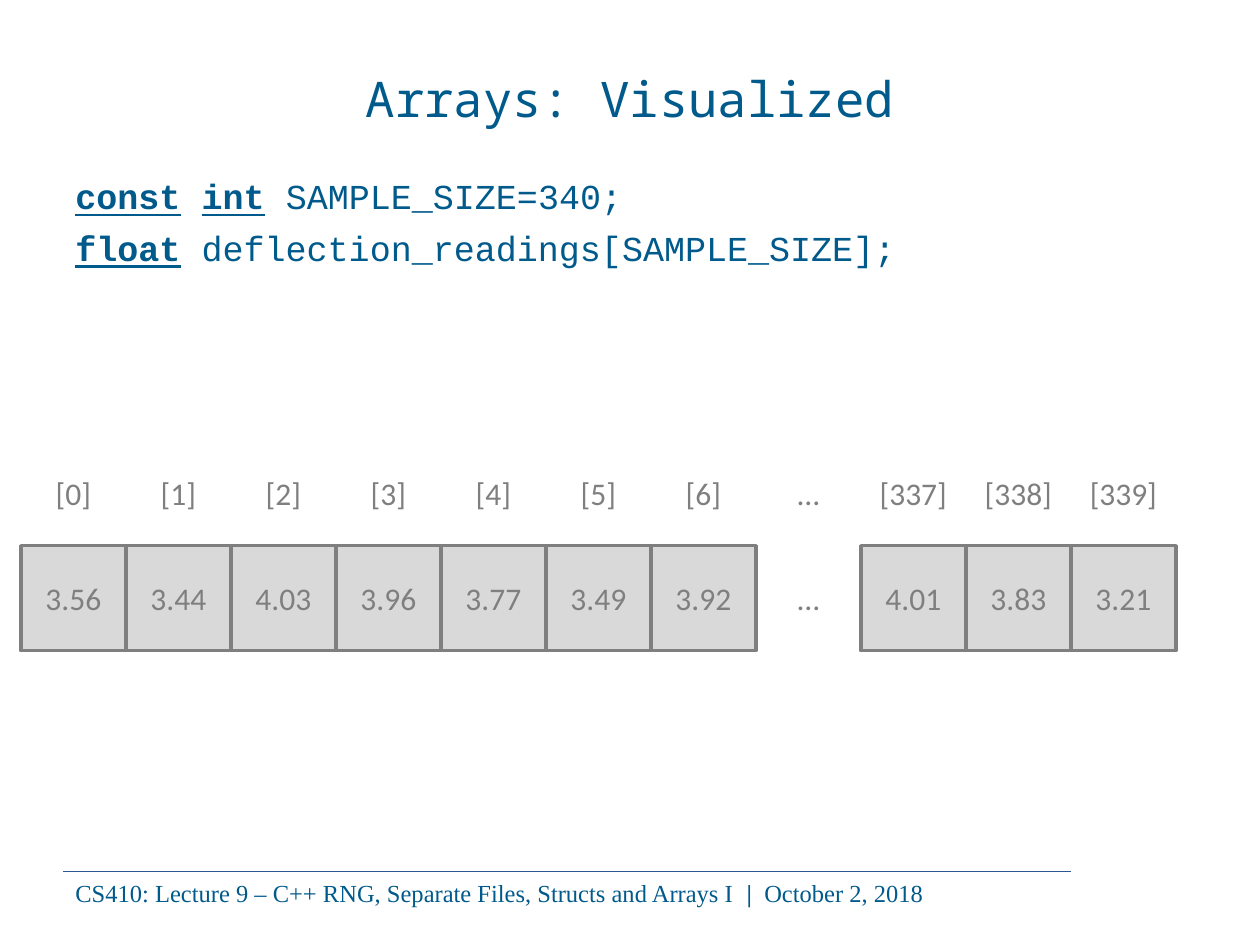
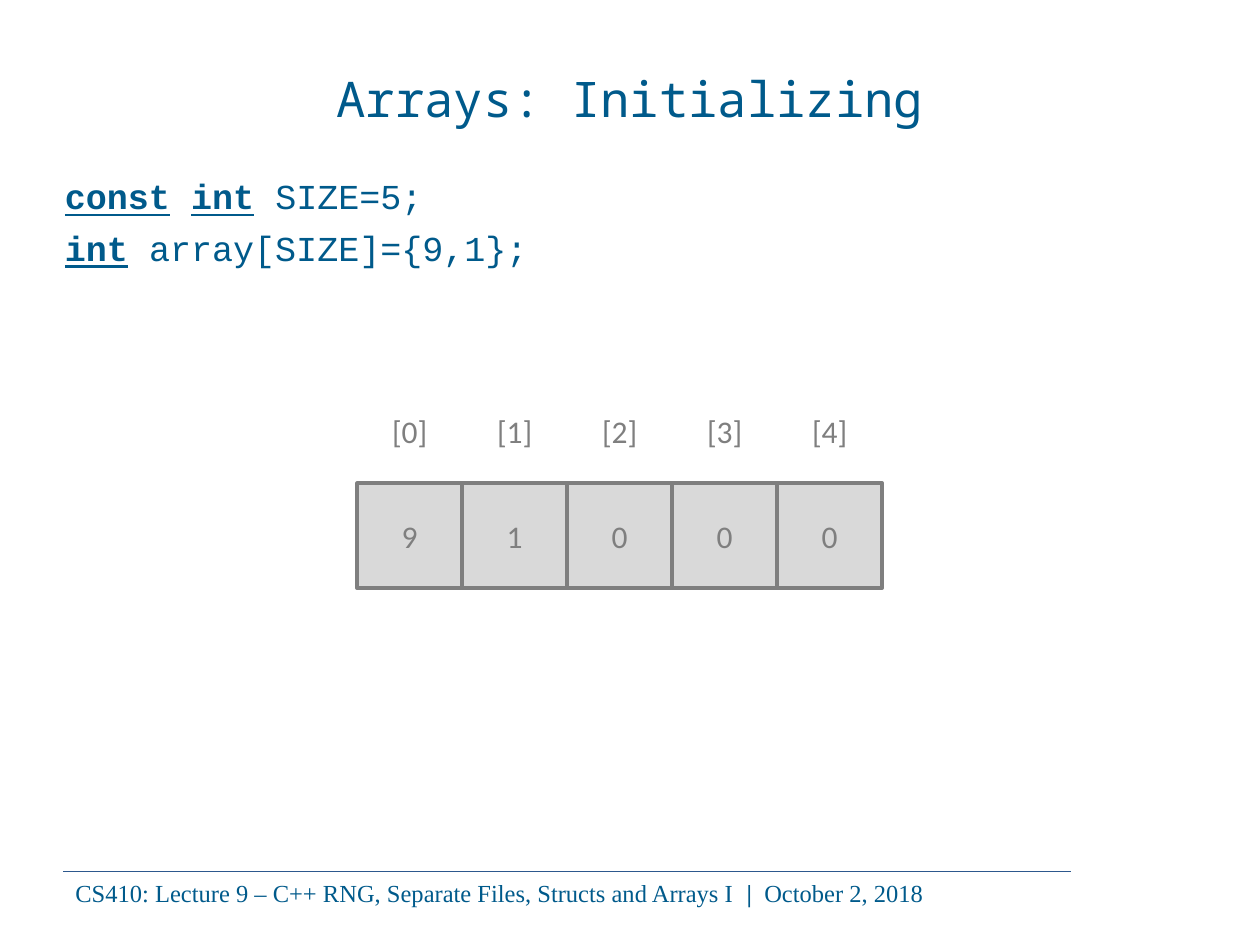
from lxml import etree
from pptx import Presentation
from pptx.dml.color import RGBColor
from pptx.enum.shapes import MSO_CONNECTOR, MSO_SHAPE
from pptx.enum.text import MSO_ANCHOR, PP_ALIGN
from pptx.oxml.ns import qn
from pptx.util import Cm, Pt

RECTANGLE = MSO_SHAPE.RECTANGLE
STRAIGHT = MSO_CONNECTOR.STRAIGHT
LEFT, CENTER = PP_ALIGN.LEFT, PP_ALIGN.CENTER
TOP, MIDDLE = MSO_ANCHOR.TOP, MSO_ANCHOR.MIDDLE

BLUE, RULE_BLUE = "005A8B", "2D588D"
GRAY, LIGHT_GRAY = "7F7F7F", "D9D9D9"
TITLE_STYLE = ("Noto Sans Mono", 28, BLUE)
CODE_STYLE = ("Courier New", 20, BLUE)
FOOTER_STYLE = ("Times New Roman", 14, BLUE)
CELL_STYLE = ("Calibri", 18, GRAY)

SLIDE_WIDTH, SLIDE_HEIGHT = 25.4, 19.05
CELL = SLIDE_WIDTH / 12
CODE_TOP, CODE_HEIGHT, CODE_INDENT = 3.39, 13.66, 0.95
MARGIN, FOOTER_TOP, RULE_WIDTH = 1.27, 17.57, 20.32
ELLIPSIS = "…"

# Runs are (text, emphasized)
FOOTER = [
    ("CS410: Lecture 9 – C++ RNG, Separate Files, Structs and Arrays I  ", False),
    ("|  ", True),
    ("October 2, 2018", False),
]

SLIDES = [
    {
        "title": "Arrays: Visualized",
        "code": [
            [("const", True), (" ", False), ("int", True), (" SAMPLE_SIZE=340;", False)],
            [("float", True), (" deflection_readings[SAMPLE_SIZE];", False)],
        ],
        "code_left": 1.27,
        "code_width": 21.8,
        "array_left": 0.42,
        "array_top": 11,
        "array": [
            ("[0]", "3.56"), ("[1]", "3.44"), ("[2]", "4.03"), ("[3]", "3.96"),
            ("[4]", "3.77"), ("[5]", "3.49"), ("[6]", "3.92"), (ELLIPSIS, ELLIPSIS),
            ("[337]", "4.01"), ("[338]", "3.83"), ("[339]", "3.21"),
        ],
    },
    {
        "title": "Arrays: Initializing",
        "code": [
            [("const", True), (" ", False), ("int", True), (" SIZE=5;", False)],
            [("int", True), (" array[SIZE]={9,1};", False)],
        ],
        "code_left": 1.06,
        "code_width": 23.07,
        "array_left": 7.2,
        "array_top": 9.74,
        "array": [("[0]", "9"), ("[1]", "1"), ("[2]", "0"), ("[3]", "0"), ("[4]", "0")],
    },
]


def color(hex_string):
    return RGBColor.from_string(hex_string)


def write(shape, lines, style, alignment=LEFT, anchor=TOP, underline=False):
    """Fill a shape with lines of runs; emphasized runs are bold, optionally underlined."""
    font_name, size, font_color = style
    frame = shape.text_frame
    frame.word_wrap = True
    frame.vertical_anchor = anchor
    frame.text = "\n".join("" for _ in lines)
    for paragraph, runs in zip(frame.paragraphs, lines):
        paragraph.alignment = alignment
        for text, emphasized in runs:
            run = paragraph.add_run()
            run.text = text
            run.font.name = font_name
            run.font.size = Pt(size)
            run.font.color.rgb = color(font_color)
            run.font.bold = emphasized
            run.font.underline = emphasized and underline


def add_text(slide, box, lines, style, **options):
    shape = slide.shapes.add_textbox(*map(Cm, box))
    write(shape, lines, style, **options)
    return shape


def add_footer(slide):
    rule = slide.shapes.add_connector(
        STRAIGHT, Cm(MARGIN), Cm(FOOTER_TOP), Cm(MARGIN + RULE_WIDTH), Cm(FOOTER_TOP))
    rule.line.color.rgb = color(RULE_BLUE)
    rule.line.width = Pt(0.5)
    etree.SubElement(rule._element.spPr, qn("a:effectLst"))
    add_text(slide, (MARGIN, FOOTER_TOP, 20.75, 0.86), [FOOTER], FOOTER_STYLE)


def add_code(slide, left, width, lines):
    shape = add_text(slide, (left, CODE_TOP, width, CODE_HEIGHT), lines, CODE_STYLE,
                     underline=True)
    for paragraph in shape.text_frame.paragraphs:
        paragraph.space_before = Pt(5.6)
        properties = paragraph._p.get_or_add_pPr()
        properties.set("marL", str(Cm(CODE_INDENT)))
        properties.set("indent", str(-Cm(CODE_INDENT)))


def add_array(slide, left, top, cells):
    """Draw a row of value boxes with index labels above; an ellipsis gets no box."""
    centered = {"alignment": CENTER, "anchor": MIDDLE}
    for position, (index, value) in enumerate(cells):
        x = left + position * CELL
        add_text(slide, (x, top - CELL, CELL, CELL), [[(index, False)]], CELL_STYLE, **centered)
        value_box = (x, top, CELL, CELL)
        if value == ELLIPSIS:
            add_text(slide, value_box, [[(value, False)]], CELL_STYLE, **centered)
            continue
        cell = slide.shapes.add_shape(RECTANGLE, *map(Cm, value_box))
        cell.shadow.inherit = False
        cell.fill.solid()
        cell.fill.fore_color.rgb = color(LIGHT_GRAY)
        cell.line.color.rgb = color(GRAY)
        cell.line.width = Pt(2)
        write(cell, [[(value, False)]], CELL_STYLE, **centered)


def main():
    presentation = Presentation()
    presentation.slide_width = Cm(SLIDE_WIDTH)
    presentation.slide_height = Cm(SLIDE_HEIGHT)
    blank_layout = presentation.slide_layouts[6]
    for content in SLIDES:
        slide = presentation.slides.add_slide(blank_layout)
        add_footer(slide)
        add_text(slide, (MARGIN, 0.76, 22.86, 2.41), [[(content["title"], False)]],
                 TITLE_STYLE, alignment=CENTER, anchor=MIDDLE)
        add_code(slide, content["code_left"], content["code_width"], content["code"])
        add_array(slide, content["array_left"], content["array_top"], content["array"])
    presentation.save("out.pptx")


if __name__ == "__main__":
    main()
